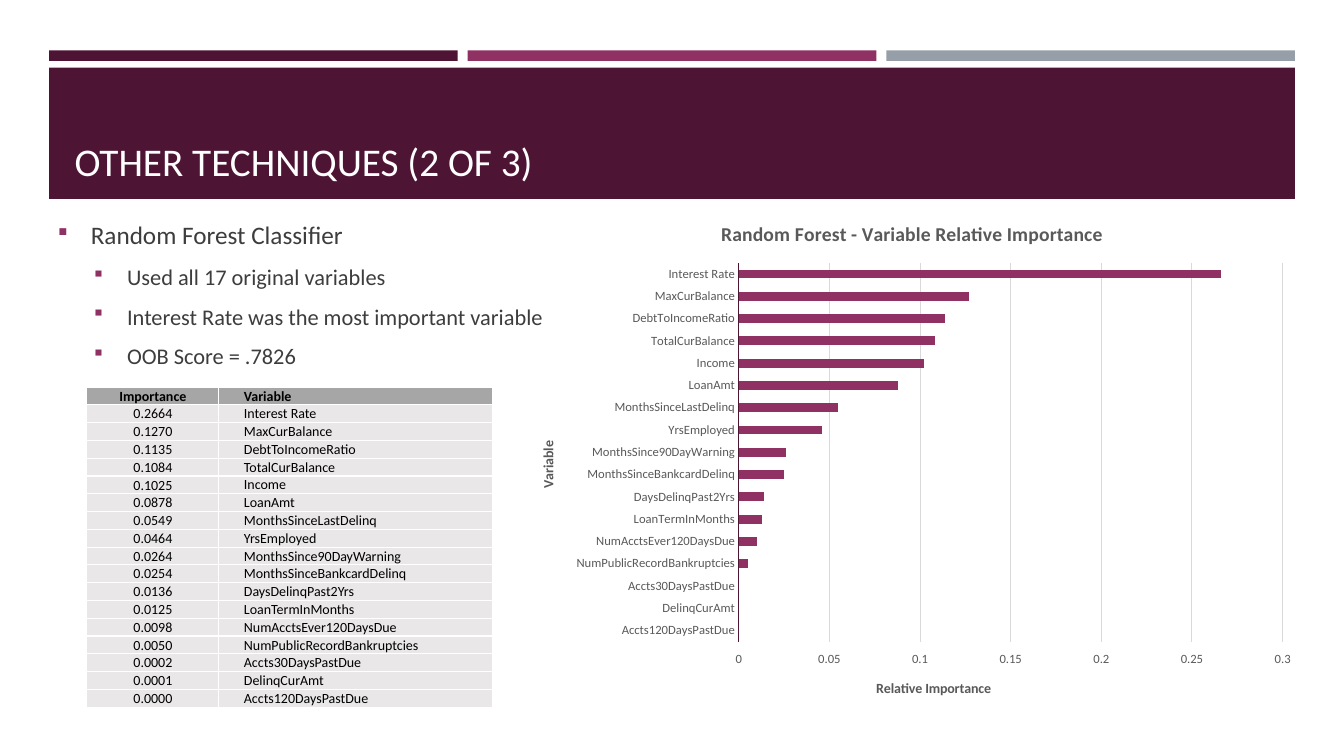
from dataclasses import dataclass
from typing import NamedTuple

from lxml.etree import SubElement
from pptx import Presentation
from pptx.chart.data import CategoryChartData
from pptx.dml.color import RGBColor
from pptx.enum.chart import XL_CHART_TYPE, XL_TICK_MARK
from pptx.enum.shapes import MSO_SHAPE
from pptx.enum.text import MSO_ANCHOR, MSO_AUTO_SIZE, PP_ALIGN
from pptx.oxml import parse_xml
from pptx.oxml.ns import nsdecls, qn
from pptx.util import Emu, Inches, Pt

FONT = "Calibri"
BULLET_FONT = "Wingdings"
COLORS = {
    "plum": "4D1434", "magenta": "903163", "steel": "969FA7", "white": "FFFFFF",
    "black": "000000", "text": "3D3D3D", "label": "595959", "grid": "D9D9D9",
    "header": "A6A6A6", "cell": "E9E7E8",
}


class Area(NamedTuple):
    left: float
    top: float
    width: float
    height: float


@dataclass
class Block:
    area: Area
    color: str


@dataclass
class Bullet:
    text: str
    level: int
    size: int
    margin: float


@dataclass
class Variable:
    name: str
    importance: float


MARGIN, CONTENT_WIDTH, STRIP_GAP = 3.65, 92.7, 0.75
STRIP_WIDTH = (CONTENT_WIDTH - 2 * STRIP_GAP) / 3
BLOCKS = [
    Block(Area(MARGIN + index * (STRIP_WIDTH + STRIP_GAP), 6.67, STRIP_WIDTH, 1.4), color)
    for index, color in enumerate(["plum", "magenta", "steel"])
] + [Block(Area(MARGIN, 8.95, CONTENT_WIDTH, 17.35), "plum")]
TITLE_AREA = Area(4.8, 10.27, 90.45, 14.8)
BODY_AREA = Area(3.53, 28.4, 91.73, 66.93)
TABLE_AREA = Area(6.45, 51.2, 30.23, 42.4)
CHART_AREA = Area(38.55, 26.53, 58.65, 68.67)
PLOT_SHARES = {"x": 0.28, "y": 0.12, "w": 0.69, "h": 0.73}
COLUMN_SHARES = [0.325, 0.675]

BULLETS = [
    Bullet("Random Forest Classifier", 0, 18, 0.33),
    Bullet("Used all 17 original variables", 1, 16, 0.69),
    Bullet("Interest Rate was the most important variable", 1, 16, 0.69),
    Bullet("OOB Score = .7826", 1, 16, 0.69),
]
VARIABLES = [
    Variable("Interest Rate", 0.2664),
    Variable("MaxCurBalance", 0.1270),
    Variable("DebtToIncomeRatio", 0.1135),
    Variable("TotalCurBalance", 0.1084),
    Variable("Income", 0.1025),
    Variable("LoanAmt", 0.0878),
    Variable("MonthsSinceLastDelinq", 0.0549),
    Variable("YrsEmployed", 0.0464),
    Variable("MonthsSince90DayWarning", 0.0264),
    Variable("MonthsSinceBankcardDelinq", 0.0254),
    Variable("DaysDelinqPast2Yrs", 0.0136),
    Variable("LoanTermInMonths", 0.0125),
    Variable("NumAcctsEver120DaysDue", 0.0098),
    Variable("NumPublicRecordBankruptcies", 0.0050),
    Variable("Accts30DaysPastDue", 0.0002),
    Variable("DelinqCurAmt", 0.0001),
    Variable("Accts120DaysPastDue", 0.0000),
]

presentation = Presentation()
presentation.slide_width, presentation.slide_height = Inches(13.33), Inches(7.5)
slide = presentation.slides.add_slide(presentation.slide_layouts[1])


def place(area: Area) -> list[Emu]:
    sides = [presentation.slide_width, presentation.slide_height] * 2
    return [Emu(int(side * share / 100)) for side, share in zip(sides, area)]


def rgb(name: str) -> RGBColor:
    return RGBColor.from_string(COLORS[name])


def style_font(font, size: float, color: str, bold: bool = False) -> None:
    font.name, font.size, font.bold = FONT, Pt(size), bold
    font.color.rgb = rgb(color)


def move(shape, area: Area) -> None:
    shape.left, shape.top, shape.width, shape.height = place(area)
    shape.text_frame.auto_size = MSO_AUTO_SIZE.NONE
    shape.text_frame.word_wrap = True


def draw_block(block: Block) -> None:
    shape = slide.shapes.add_shape(MSO_SHAPE.RECTANGLE, *place(block.area))
    shape.shadow.inherit = False
    shape.fill.solid()
    shape.fill.fore_color.rgb = rgb(block.color)
    shape.line.fill.background()


def draw_title(text: str) -> None:
    title = slide.shapes.title
    move(title, TITLE_AREA)
    title.text_frame.text = text
    title.text_frame.vertical_anchor = MSO_ANCHOR.BOTTOM
    paragraph = title.text_frame.paragraphs[0]
    paragraph.alignment = PP_ALIGN.LEFT
    style_font(paragraph.runs[0].font, 28, "white")


def draw_bullets(bullets: list[Bullet]) -> None:
    body = slide.placeholders[1]
    move(body, BODY_AREA)
    body.text_frame.text = "\n".join(bullet.text for bullet in bullets)
    for paragraph, bullet in zip(body.text_frame.paragraphs, bullets):
        paragraph.level = bullet.level
        paragraph.space_before, paragraph.space_after = Pt(0.2 * bullet.size), Pt(6)
        style_font(paragraph.runs[0].font, bullet.size, "text")
        properties = paragraph._p.get_or_add_pPr()
        properties.set("marL", str(Inches(bullet.margin)))
        properties.set("indent", str(Inches(-0.33)))
        color = SubElement(properties, qn("a:buClr"))
        SubElement(color, qn("a:srgbClr"), val=COLORS["magenta"])
        SubElement(properties, qn("a:buSzPct"), val="92000")
        SubElement(properties, qn("a:buFont"), typeface=BULLET_FONT, charset="2")
        SubElement(properties, qn("a:buChar"), char="§")


def draw_cell(cell, text: str, column: int, header: bool) -> None:
    cell.text_frame.text = text
    cell.margin_left = Inches([0.01, 0.25][column])
    cell.margin_top = cell.margin_right = Pt(0.5)
    cell.margin_bottom = 0
    cell.vertical_anchor = MSO_ANCHOR.MIDDLE if column and not header else MSO_ANCHOR.BOTTOM
    paragraph = cell.text_frame.paragraphs[0]
    paragraph.alignment = [PP_ALIGN.CENTER, PP_ALIGN.LEFT][column]
    style_font(paragraph.runs[0].font, 10, "black", header)
    properties = cell._tc.get_or_add_tcPr()
    for side in ["lnL", "lnR", "lnT", "lnB"]:
        border = SubElement(properties, qn(f"a:{side}"), w=str(Pt(1)))
        fill = SubElement(border, qn("a:solidFill"))
        SubElement(fill, qn("a:srgbClr"), val=COLORS["white"])
    cell.fill.solid()
    cell.fill.fore_color.rgb = rgb("header" if header else "cell")


def draw_table(variables: list[Variable]) -> None:
    rows = [("Importance", "Variable")]
    rows += [(f"{variable.importance:.4f}", variable.name) for variable in variables]
    frame = slide.shapes.add_table(len(rows), 2, *place(TABLE_AREA))
    table_width = frame.width
    for column, share in zip(frame.table.columns, COLUMN_SHARES):
        column.width = Emu(int(table_width * share))
    for row, texts in enumerate(rows):
        for column, text in enumerate(texts):
            draw_cell(frame.table.cell(row, column), text, column, row == 0)


def title_chart_part(part, text: str, size: int) -> None:
    frame = (part.chart_title if hasattr(part, "chart_title") else part.axis_title).text_frame
    frame.text = text
    style_font(frame.paragraphs[0].runs[0].font, size, "label", True)


def draw_chart(variables: list[Variable]) -> None:
    data = CategoryChartData()
    data.categories = [variable.name for variable in reversed(variables)]
    data.add_series("Series 1", [round(variable.importance, 3) for variable in reversed(variables)])
    chart = slide.shapes.add_chart(XL_CHART_TYPE.BAR_CLUSTERED, *place(CHART_AREA), data).chart
    chart.has_legend = False
    style_font(chart.font, 10, "black")
    title_chart_part(chart, "Random Forest - Variable Relative Importance", 14)
    plot = chart.plots[0]
    plot.gap_width, plot.vary_by_categories = 150, False
    plot.series[0].format.fill.solid()
    plot.series[0].format.fill.fore_color.rgb = rgb("magenta")
    categories, values = chart.category_axis, chart.value_axis
    for axis, text in [(categories, "Variable"), (values, "Relative Importance")]:
        title_chart_part(axis, text, 10)
        style_font(axis.tick_labels.font, 9, "label")
    categories.has_major_gridlines = False
    categories.major_tick_mark = XL_TICK_MARK.NONE
    values.major_tick_mark = XL_TICK_MARK.OUTSIDE
    values.minimum_scale, values.maximum_scale, values.major_unit = 0, 0.3, 0.05
    values.tick_labels.number_format = "General"
    values.tick_labels.number_format_is_linked = False
    values.format.line.fill.background()
    for line, color in [(categories.format.line, "plum"), (values.major_gridlines.format.line, "grid")]:
        line.color.rgb, line.width = rgb(color), Pt(0.75)
    area = chart._chartSpace.chart.plotArea
    for layout in area.findall(qn("c:layout")):
        area.remove(layout)
    layout = parse_xml(f"<c:layout {nsdecls('c')}><c:manualLayout/></c:layout>")
    area.insert(0, layout)
    settings = {"layoutTarget": "inner", "xMode": "edge", "yMode": "edge", **PLOT_SHARES}
    for name, value in settings.items():
        SubElement(layout[0], qn(f"c:{name}"), val=str(value))


for block in BLOCKS:
    draw_block(block)
tree = slide.shapes._spTree
for placeholder in list(slide.placeholders):
    tree.append(placeholder._element)
draw_title("OTHER TECHNIQUES (2 OF 3)")
draw_bullets(BULLETS)
draw_table(VARIABLES)
draw_chart(VARIABLES)
presentation.save("out.pptx")
